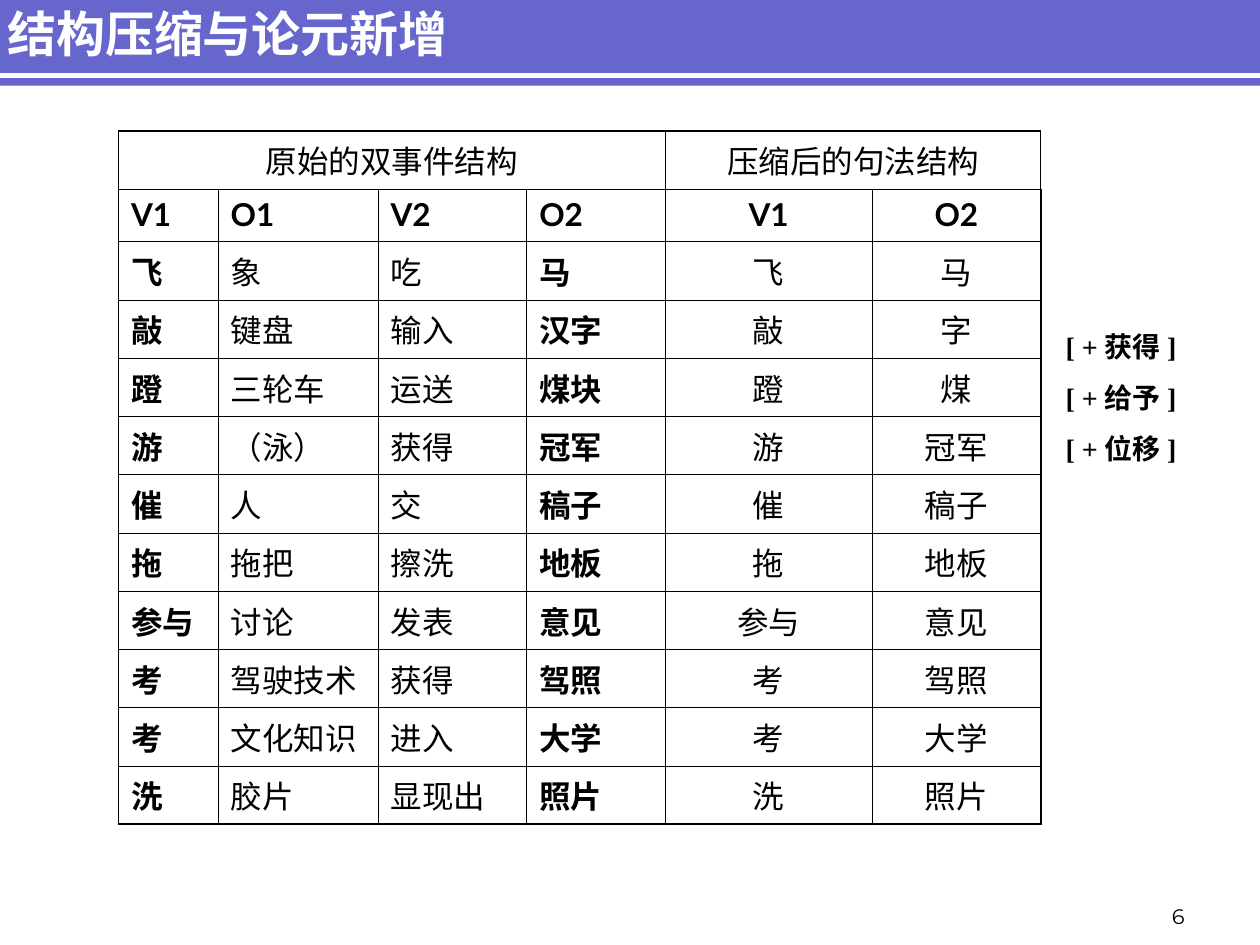
from dataclasses import dataclass
from typing import Any, NamedTuple

from lxml import etree
from pptx import Presentation
from pptx.dml.color import RGBColor
from pptx.enum import shapes, text
from pptx.oxml import ns
from pptx.util import Pt


@dataclass(frozen=True)
class Theme:
    band: RGBColor = RGBColor(0x66, 0x66, 0xCC)
    white: RGBColor = RGBColor(0xFF, 0xFF, 0xFF)
    ink: RGBColor = RGBColor(0, 0, 0)
    east: str = "Noto Sans CJK SC"
    body: str = "Lato"
    serif: str = "Times New Roman"
    digit: str = "Montserrat"
    title: float = 28
    cell: float = 18
    note: float = 16
    page: float = 12
    thin: float = 0.45
    thick: float = 1.08


class Style(NamedTuple):
    size: float
    face: str
    color: RGBColor
    bold: bool = False
    align: Any = text.PP_ALIGN.LEFT
    before: float = 0


class Label(NamedTuple):
    left: float
    top: float
    width: float
    height: float
    lines: tuple[str, ...]
    style: Style
    anchor: Any = text.MSO_ANCHOR.TOP
    pitch: float | None = None


T = Theme()
LEFT, MID, RIGHT = text.PP_ALIGN.LEFT, text.PP_ALIGN.CENTER, text.PP_ALIGN.RIGHT

LABELS = (
    Label(-2.9, 3.6, 631.4, 31, ("结构压缩与论元新增",),
          Style(T.title, T.east, T.white, True), text.MSO_ANCHOR.MIDDLE),
    Label(534.2, 498.2, 149.8, 36, ("6",),
          Style(T.page, T.digit, T.ink, align=RIGHT), text.MSO_ANCHOR.BOTTOM),
    Label(601.9, 185, 90.7, 85, ("[ + 获得 ]", "[ + 给予 ]", "[ + 位移 ]"),
          Style(T.note, T.serif, T.ink, True, before=10), pitch=19.1),
)

WIDTHS = (56.9, 91.4, 85, 79.2, 118.1, 96.5)
ROW = 30
SPANS = {0: ("原始的双事件结构", 3), 4: ("压缩后的句法结构", 5)}
ROWS = (
    ("V1", "O1", "V2", "O2", "V1", "O2"),
    ("飞", "象", "吃", "马", "飞", "马"),
    ("敲", "键盘", "输入", "汉字", "敲", "字"),
    ("蹬", "三轮车", "运送", "煤块", "蹬", "煤"),
    ("游", "（泳）", "获得", "冠军", "游", "冠军"),
    ("催", "人", "交", "稿子", "催", "稿子"),
    ("拖", "拖把", "擦洗", "地板", "拖", "地板"),
    ("参与", "讨论", "发表", "意见", "参与", "意见"),
    ("考", "驾驶技术", "获得", "驾照", "考", "驾照"),
    ("考", "文化知识", "进入", "大学", "考", "大学"),
    ("洗", "胶片", "显现出", "照片", "洗", "照片"),
)


def write(para: Any, words: str, style: Style) -> None:
    para.text = words
    para.alignment = style.align
    para.space_before = Pt(style.before)
    font = para.font
    font.size, font.name, font.bold = Pt(style.size), style.face, style.bold
    font.color.rgb = style.color
    # The paragraph font reaches its runs only through each run's own settings.
    for run in para.runs:
        face = run.font
        face.size, face.name, face.bold = Pt(style.size), style.face, style.bold
        face.color.rgb = style.color
        east = etree.SubElement(face._element, ns.qn("a:ea"))
        east.set("typeface", T.east)


def draw_label(page: Any, item: Label) -> None:
    box = page.shapes.add_textbox(
        Pt(item.left), Pt(item.top), Pt(item.width), Pt(item.height))
    frame = box.text_frame
    frame.word_wrap = True
    frame.vertical_anchor = item.anchor
    for i, line in enumerate(item.lines):
        para = frame.add_paragraph() if i else frame.paragraphs[0]
        write(para, line, item.style)
        if item.pitch:
            para.line_spacing = Pt(item.pitch)


def draw_band(page: Any) -> None:
    """Title band with a white rule near its lower edge."""
    band = page.shapes.add_shape(
        shapes.MSO_SHAPE.RECTANGLE, Pt(-2.9), Pt(-2.2), Pt(722.9), Pt(51.1))
    band.shadow.inherit = False
    band.fill.solid()
    band.fill.fore_color.rgb = T.band
    band.line.fill.background()
    rule = page.shapes.add_connector(
        shapes.MSO_CONNECTOR.STRAIGHT, Pt(-2.9), Pt(43.2), Pt(720), Pt(43.2))
    rule.line.color.rgb = T.white
    rule.line.width = Pt(3)
    etree.SubElement(rule._element.spPr, ns.qn("a:effectLst"))


def edge(cell: Any, sides: dict[str, float]) -> None:
    props = cell._tc.get_or_add_tcPr()
    for side, width in sides.items():
        line = etree.SubElement(props, ns.qn(f"a:ln{side}"), w=str(int(Pt(width))))
        fill = etree.SubElement(line, ns.qn("a:solidFill"))
        etree.SubElement(fill, ns.qn("a:srgbClr"), val=str(T.ink))


def draw_table(page: Any) -> None:
    count, last = len(ROWS) + 1, len(WIDTHS) - 1
    grid = page.shapes.add_table(
        count, last + 1, Pt(67.7), Pt(74.9), Pt(sum(WIDTHS)), Pt(ROW * count)).table
    grid.first_row = grid.horz_banding = False
    for col, width in zip(grid.columns, WIDTHS):
        col.width = Pt(width)
    for row in grid.rows:
        row.height = Pt(ROW)
    for r in range(count):
        for c in range(last + 1):
            cell = grid.cell(r, c)
            edge(cell, {
                "L": T.thin if c else T.thick,
                "R": T.thick if c == last else T.thin,
                "T": T.thin if r else T.thick,
                "B": T.thick if r == count - 1 else T.thin,
            })
            cell.fill.background()
            if r:
                bold = r == 1 or c in (0, 3)
                write(cell.text_frame.paragraphs[0], ROWS[r - 1][c],
                      Style(T.cell, T.body, T.ink, bold, MID if c > 3 else LEFT, 4.5))
    for c, (words, end) in SPANS.items():
        head = grid.cell(0, c)
        head.merge(grid.cell(0, end))
        write(head.text_frame.paragraphs[0], words,
              Style(T.cell, T.body, T.ink, align=MID, before=4.5))


def main() -> None:
    deck = Presentation()
    deck.slide_width, deck.slide_height = Pt(720), Pt(540)
    page = deck.slides.add_slide(deck.slide_layouts[6])
    draw_band(page)
    draw_table(page)
    for item in LABELS:
        draw_label(page, item)
    deck.save("out.pptx")


if __name__ == "__main__":
    main()
